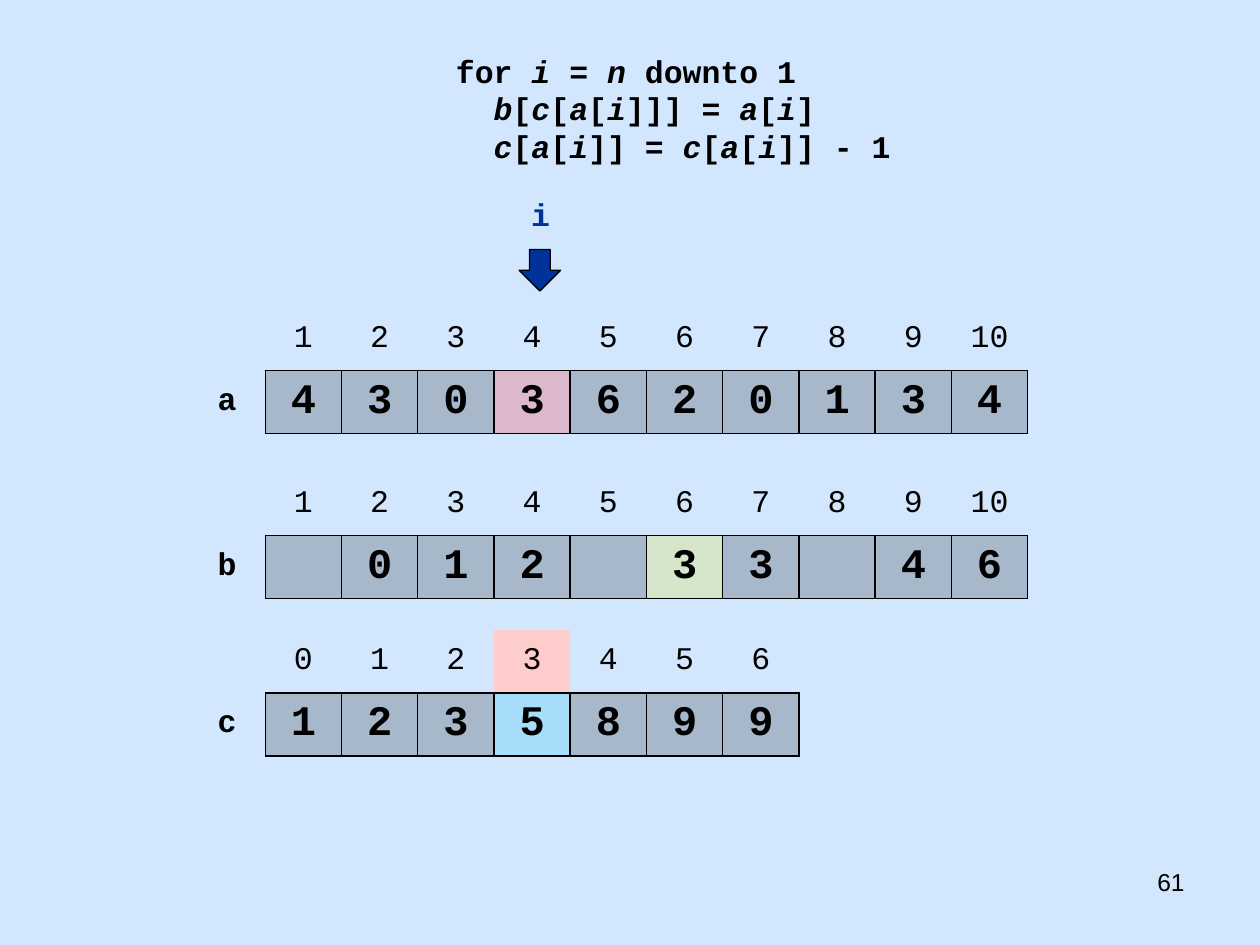
from dataclasses import dataclass, field

from lxml import etree
from pptx import Presentation
from pptx.dml.color import RGBColor
from pptx.enum.shapes import MSO_SHAPE
from pptx.enum.text import MSO_ANCHOR, PP_ALIGN
from pptx.oxml.ns import qn
from pptx.util import Inches, Pt

LEFT, CENTER, RIGHT = PP_ALIGN.LEFT, PP_ALIGN.CENTER, PP_ALIGN.RIGHT
MIDDLE = MSO_ANCHOR.MIDDLE
DOWN_ARROW = MSO_SHAPE.DOWN_ARROW
PLAIN_TABLE_STYLE = "{2D5ABB26-0587-4C30-8999-92F81FD0307C}"


@dataclass(frozen=True)
class Theme:
    background: str = "D2E7FE"
    ink: str = "000000"
    pointer: str = "003399"
    read_cell: str = "FF0000"
    written_cell: str = "E5E500"
    count_cell: str = "00B0F0"
    count_index: str = "FFCCCC"
    cell_opacity: int = 20
    code_font: str = "Courier New"
    number_font: str = "Arial"
    code_size: int = 18
    value_size: int = 24
    number_size: int = 14


THEME = Theme()
GRID_LEFT = 1.5
CELL_WIDTH = 6.66 / 11  # label column plus ten cells
CELL_HEIGHT = 0.5


@dataclass(frozen=True)
class ArrayRow:
    name: str
    top: float
    first_index: int
    values: list[str]
    value_fills: dict[int, str]
    index_fills: dict[int, str] = field(default_factory=dict)


# Text between asterisks is italic; the number is the indent in characters
CODE = [
    (1, "for *i* = *n* downto 1"),
    (3, "*b*[*c*[*a*[*i*]]] = *a*[*i*]"),
    (3, "*c*[*a*[*i*]] = *c*[*a*[*i*]] - 1"),
]
CHARACTER_WIDTH = 0.15

ARRAYS = [
    ArrayRow("a", 2.44, 1, "4 3 0 3 6 2 0 1 3 4".split(" "), {4: THEME.read_cell}),
    ArrayRow("b", 3.75, 1, ["", "0", "1", "2", "", "3", "3", "", "4", "6"],
             {6: THEME.written_cell}),
    ArrayRow("c", 5, 0, "1 2 3 5 8 9 9".split(" "), {3: THEME.count_cell},
             {3: THEME.count_index}),
]


def add_span(para, text: str, color: str = THEME.ink, **formats) -> None:
    span = para.add_run()
    span.text = text
    settings = {"name": THEME.code_font, "size": Pt(THEME.code_size), **formats}
    for key, value in settings.items():
        setattr(span.font, key, value)
    span.font.color.rgb = RGBColor.from_string(color)


def add_box(page, left: float, top: float, width: float, height: float):
    box = page.shapes.add_textbox(
        Inches(left), Inches(top), Inches(width), Inches(height))
    box.text_frame.word_wrap = True
    return box.text_frame


def add_label(page, area: tuple, text: str, align, color: str = THEME.ink,
              **formats) -> None:
    para = add_box(page, *area).paragraphs[0]
    para.alignment = align
    add_span(para, text, color, **formats)


def add_code(page) -> None:
    frame = add_box(page, 3.37, 0.36, 4, 1.01)
    for number, (indent, line) in enumerate(CODE):
        para = frame.add_paragraph() if number else frame.paragraphs[0]
        para.alignment = LEFT
        margin = Inches(indent * CHARACTER_WIDTH)
        para._p.get_or_add_pPr().set("marL", str(margin))
        for position, part in enumerate(line.split("*")):
            if part:
                add_span(para, part, bold=True, italic=position % 2 == 1)


def set_borders(cell, sides: str) -> None:
    properties = cell._tc.get_or_add_tcPr()
    for position, side in enumerate(sides):
        line = etree.Element(qn(f"a:ln{side}"), w=str(Pt(1)))
        fill = etree.SubElement(line, qn("a:solidFill"))
        etree.SubElement(fill, qn("a:srgbClr"), val=THEME.ink)
        properties.insert(position, line)


def fill_cell(cell, color: str | None, opacity: int = 100) -> None:
    if color is None:
        cell.fill.background()
        return
    cell.fill.solid()
    cell.fill.fore_color.rgb = RGBColor.from_string(color)
    if opacity < 100:
        tint = cell._tc.tcPr.find(".//" + qn("a:srgbClr"))
        etree.SubElement(tint, qn("a:alpha"), val=str(opacity * 1000))


def write_cell(cell, text: str, **formats) -> None:
    cell.vertical_anchor = MIDDLE
    para = cell.text_frame.paragraphs[0]
    para.alignment = CENTER
    if text:
        add_span(para, text, **formats)


def add_array(page, array: ArrayRow) -> None:
    columns = len(array.values) + 1
    frame = page.shapes.add_table(
        2, columns, Inches(GRID_LEFT), Inches(array.top),
        Inches(CELL_WIDTH * columns), Inches(2 * CELL_HEIGHT))
    table = frame.table
    table._tbl.tblPr.find(qn("a:tableStyleId")).text = PLAIN_TABLE_STYLE
    table.first_row = table.horz_banding = False
    for column in table.columns:
        column.width = Inches(CELL_WIDTH)

    # Array name
    fill_cell(table.cell(0, 0), None)
    label = table.cell(1, 0)
    fill_cell(label, None)
    write_cell(label, array.name, bold=True)
    set_borders(label, "R")

    # Indices above their values
    for column, value in enumerate(array.values, start=1):
        index = array.first_index + column - 1
        index_cell, value_cell = table.cell(0, column), table.cell(1, column)
        fill_cell(index_cell, array.index_fills.get(index))
        write_cell(index_cell, str(index))
        set_borders(index_cell, "B")
        fill_cell(value_cell, array.value_fills.get(index, THEME.ink),
                  THEME.cell_opacity)
        write_cell(value_cell, value, bold=True, size=Pt(THEME.value_size))
        set_borders(value_cell, "LRTB")


def add_pointer(page) -> None:
    add_label(page, (3.25, 1.5, 2.08, 0.4), "i", CENTER, THEME.pointer, bold=True)
    arrow = page.shapes.add_shape(
        DOWN_ARROW, Inches(4.12), Inches(1.98), Inches(0.33), Inches(0.33))
    arrow.shadow.inherit = False
    arrow.fill.solid()
    arrow.fill.fore_color.rgb = RGBColor.from_string(THEME.pointer)
    arrow.line.color.rgb = RGBColor.from_string(THEME.ink)
    arrow.line.width = Pt(0.75)


def main() -> None:
    deck = Presentation()
    deck.slide_width, deck.slide_height = Inches(10), Inches(7.5)
    page = deck.slides.add_slide(deck.slide_layouts[6])
    page.background.fill.solid()
    page.background.fill.fore_color.rgb = RGBColor.from_string(THEME.background)

    add_code(page)
    add_pointer(page)
    for array in ARRAYS:
        add_array(page, array)
    add_label(page, (7.17, 6.83, 2.33, 0.52), "61", RIGHT,
              name=THEME.number_font, size=Pt(THEME.number_size))
    deck.save("out.pptx")


if __name__ == "__main__":
    main()
